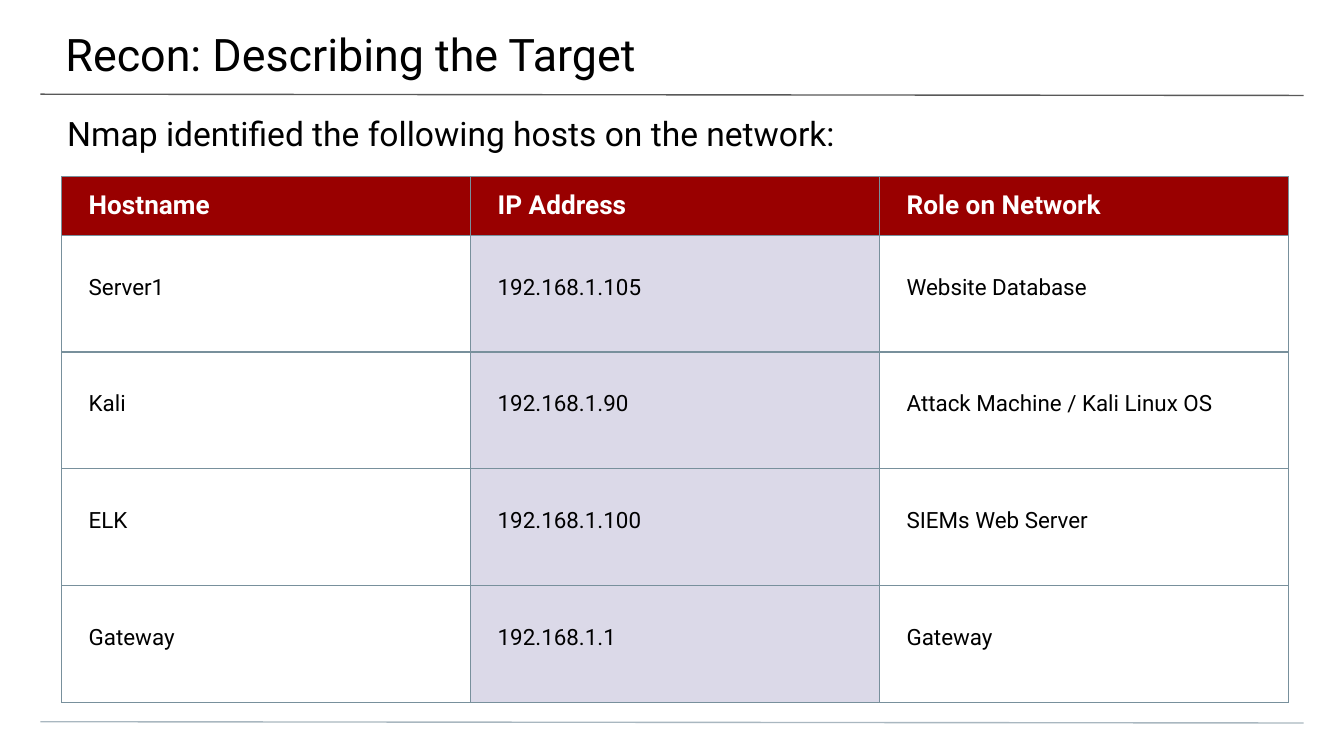
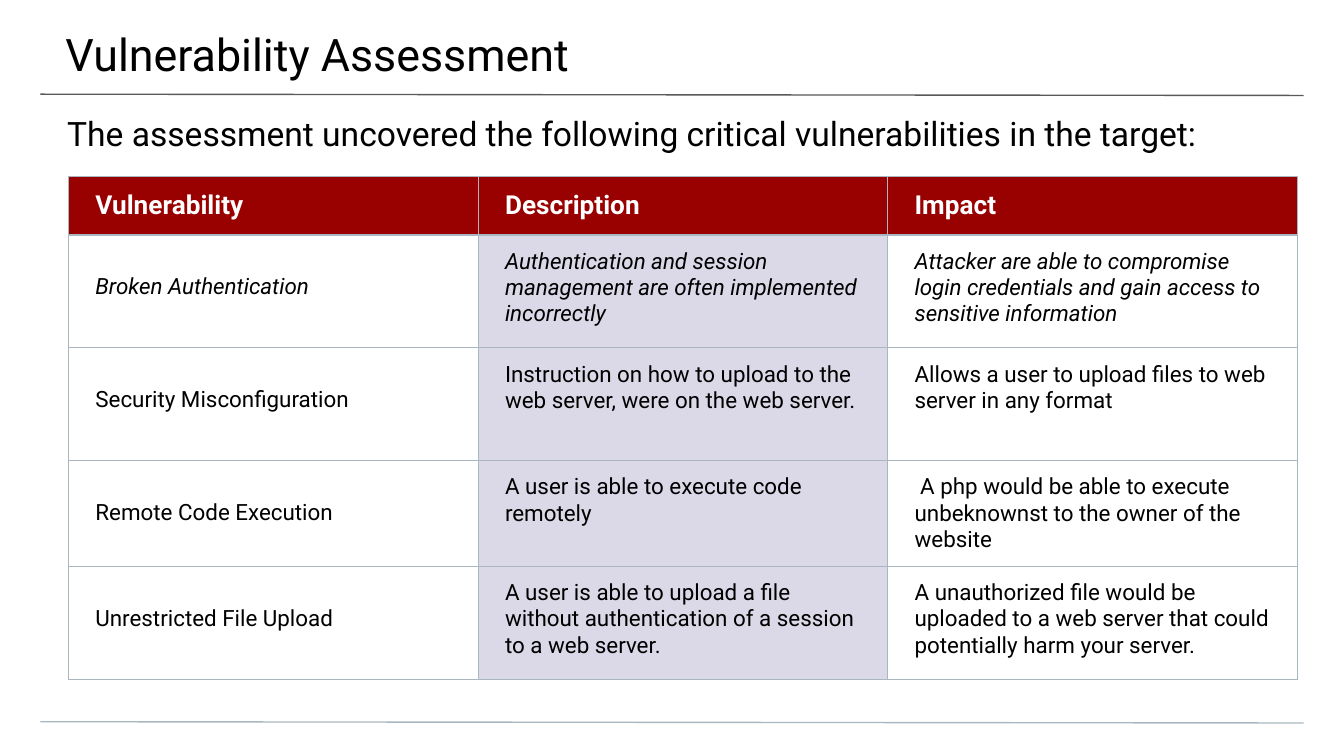
from lxml.etree import SubElement
from pptx import Presentation
from pptx.dml.color import RGBColor
from pptx.enum.shapes import MSO_CONNECTOR
from pptx.enum.text import MSO_ANCHOR, MSO_AUTO_SIZE, PP_ALIGN
from pptx.oxml.ns import qn
from pptx.util import Inches, Pt

FONT = "Roboto"
BLACK = RGBColor(0x00, 0x00, 0x00)
WHITE = RGBColor(0xFF, 0xFF, 0xFF)
DARK_RED = RGBColor(0x99, 0x00, 0x00)
LAVENDER = RGBColor(0xDB, 0xD9, 0xE8)
GREY = RGBColor(0x59, 0x59, 0x59)
SLATE = RGBColor(0x78, 0x90, 0x9C)
PALE_SLATE = RGBColor(0xA9, 0xB7, 0xC0)

SLIDE_WIDTH = Inches(10)
SLIDE_HEIGHT = SLIDE_WIDTH * 9 // 16
RULE_WIDTH = Pt(0.75)
TABLE_TOP = 23.38
CELL_INSETS = (0.2, 0.1, 0.2, 0.1)
LOWERED_INSETS = (0.2, 0.29, 0.2, 0.1)  # text starts one line lower

HOSTS = [
    ("Hostname", "IP Address", "Role on Network"),
    ("Server1", "192.168.1.105", "Website Database"),
    ("Kali", "192.168.1.90", "Attack Machine / Kali Linux OS"),
    ("ELK", "192.168.1.100", "SIEMs Web Server"),
    ("Gateway", "192.168.1.1", "Gateway"),
]
VULNERABILITIES = [
    ("Vulnerability", "Description", "Impact"),
    ("Broken Authentication",
     "Authentication and session management are often implemented incorrectly",
     "Attacker are able to compromise login credentials and gain access to "
     "sensitive information"),
    ("Security Misconfiguration",
     "Instruction on how to upload to the web server, were on the web server.",
     "Allows a user to upload files to web server in any format"),
    ("Remote Code Execution",
     "A user is able to execute code remotely",
     " A php would be able to execute unbeknownst to the owner of the website"),
    ("Unrestricted File Upload",
     "A user is able to upload a file without authentication of a session to a "
     "web server.",
     "A unauthorized file would be uploaded to a web server that could "
     "potentially harm your server."),
]


def across(percent):
    return round(SLIDE_WIDTH * percent / 100)


def down(percent):
    return round(SLIDE_HEIGHT * percent / 100)


def set_insets(holder, insets):
    """Set the margins of a text frame or a table cell, in inches."""
    (holder.margin_left, holder.margin_top,
     holder.margin_right, holder.margin_bottom) = map(Inches, insets)


def style_text(frame, size, color, bold=False, italic=False):
    for paragraph in frame.paragraphs:
        paragraph.alignment = PP_ALIGN.LEFT
        paragraph.space_before = Pt(0)
        for run in paragraph.runs:
            font = run.font
            font.name, font.size = FONT, Pt(size)
            font.bold, font.italic = bold, italic
            font.color.rgb = color


def fill_placeholder(placeholder, text, box, insets, size):
    left, top, width, height = box
    placeholder.left, placeholder.top = across(left), down(top)
    placeholder.width, placeholder.height = across(width), down(height)
    frame = placeholder.text_frame
    frame.text = text
    frame.word_wrap = True
    frame.auto_size = MSO_AUTO_SIZE.NONE
    frame.vertical_anchor = MSO_ANCHOR.TOP
    set_insets(frame, insets)
    style_text(frame, size, BLACK)


def add_rule(slide, start, end, color):
    """Draw a line across the slide between two heights."""
    rule = slide.shapes.add_connector(
        MSO_CONNECTOR.STRAIGHT, across(3), down(start), across(97), down(end))
    rule.line.color.rgb = color
    rule.line.width = RULE_WIDTH
    SubElement(rule.element.spPr, qn("a:effectLst"))


def add_borders(cell, color):
    properties = cell._tc.get_or_add_tcPr()
    for side in ("a:lnL", "a:lnR", "a:lnT", "a:lnB"):
        border = SubElement(properties, qn(side), w=str(RULE_WIDTH))
        solid = SubElement(border, qn("a:solidFill"))
        SubElement(solid, qn("a:srgbClr"), val=str(color))


def fill_cell(cell, text, fill, border, insets):
    cell.text = text
    set_insets(cell, insets)
    add_borders(cell, border)
    if fill is None:
        cell.fill.background()
    else:
        cell.fill.solid()
        cell.fill.fore_color.rgb = fill


def add_findings(slide, rows, left, column_width, row_heights, border,
                 lowered_columns, italic_rows=()):
    """Add a table with a red header and a tinted middle column."""
    columns = len(rows[0])
    table = slide.shapes.add_table(
        len(rows), columns, across(left), down(TABLE_TOP),
        across(column_width * columns), down(sum(row_heights))).table
    table.horz_banding = False
    for column in table.columns:
        column.width = across(column_width)
    for row, height in zip(table.rows, row_heights):
        row.height = down(height)
    for r, texts in enumerate(rows):
        for c, text in enumerate(texts):
            cell = table.cell(r, c)
            if r == 0:
                fill_cell(cell, text, DARK_RED, border, CELL_INSETS)
                cell.vertical_anchor = MSO_ANCHOR.MIDDLE
                style_text(cell.text_frame, 14, WHITE, bold=True)
            else:
                fill_cell(cell, text, LAVENDER if c == 1 else None, border,
                          LOWERED_INSETS if c in lowered_columns else CELL_INSETS)
                style_text(cell.text_frame, 12, BLACK, italic=r in italic_rows)


def add_report_slide(presentation, title, lead):
    slide = presentation.slides.add_slide(presentation.slide_layouts[0])
    add_rule(slide, 12.46, 12.63, GREY)
    add_rule(slide, 95.47, 95.64, PALE_SLATE)
    fill_placeholder(slide.shapes.title, title, (-0.13, 0, 100.3, 10.31),
                     (0.5, 0.2, 0.3, 0.1), 24)
    fill_placeholder(slide.placeholders[1], lead, (0, 13.16, 100, 7.11),
                     (0.5, 0.1, 0.5, 0), 18)
    return slide


def main():
    presentation = Presentation()
    presentation.slide_width = SLIDE_WIDTH
    presentation.slide_height = SLIDE_HEIGHT

    recon = add_report_slide(
        presentation, "Recon: Describing the Target",
        "Nmap identified the following hosts on the network:")
    add_findings(recon, HOSTS, 4.6, 30.43, [7.75] + [15.45] * 4, SLATE,
                 lowered_columns=(0, 1, 2))

    assessment = add_report_slide(
        presentation, "Vulnerability Assessment",
        "The assessment uncovered the following critical vulnerabilities in the target:")
    add_findings(assessment, VULNERABILITIES, 5.1, 30.48,
                 [7.7, 14.93, 14.93, 13.96, 14.93], PALE_SLATE,
                 lowered_columns=(0,), italic_rows=(1,))

    presentation.save("out.pptx")


if __name__ == "__main__":
    main()
